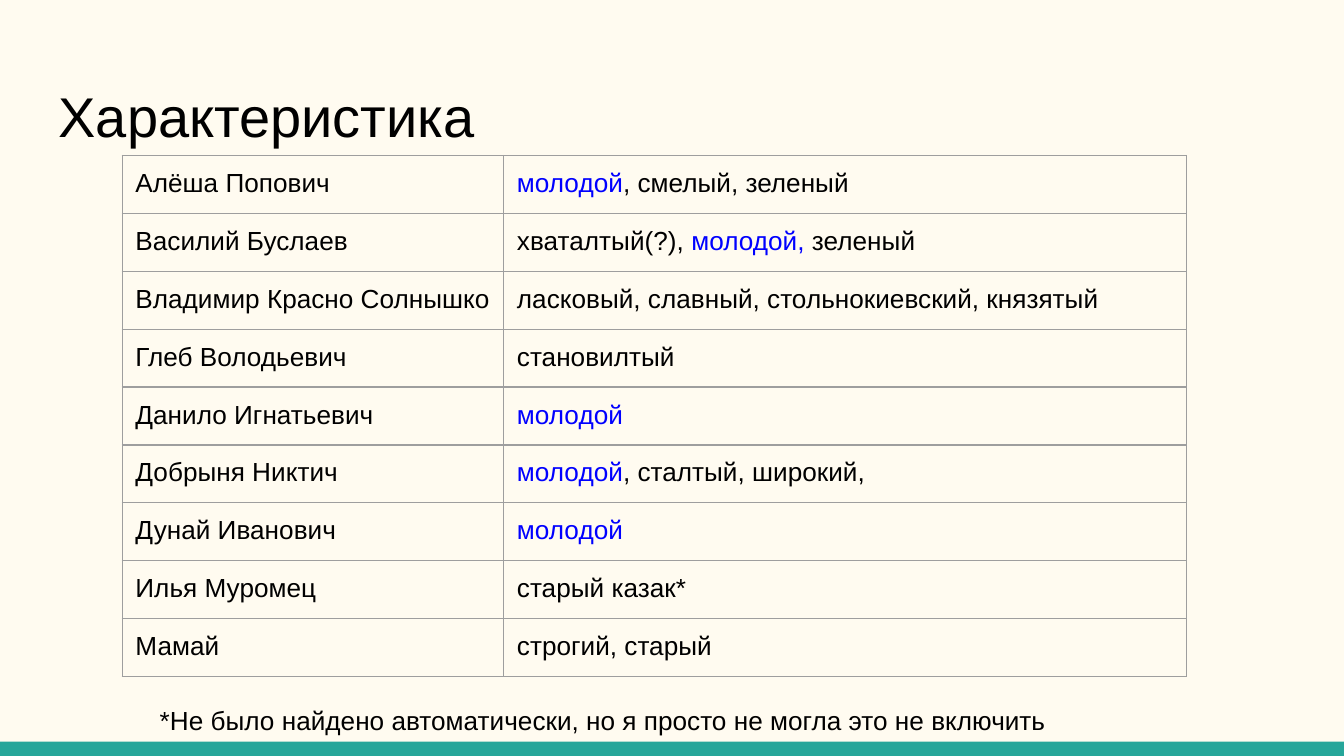
from lxml import etree
from pptx import Presentation
from pptx import util as u
from pptx.dml.color import RGBColor
from pptx.enum import shapes, text
from pptx.oxml import ns

COLORS = {
    "page": "FFFBF0",
    "ink": "000000",
    "shared": "0000FF",
    "grid": "9E9E9E",
    "footer": "26A69A",
}

HEROES = [
    ("Алёша Попович", "|молодой|, смелый, зеленый"),
    ("Василий Буслаев", "хваталтый(?), |молодой,| зеленый"),
    ("Владимир Красно Солнышко", "ласковый, славный, стольнокиевский, князятый"),
    ("Глеб Володьевич", "становилтый"),
    ("Данило Игнатьевич", "|молодой|"),
    ("Добрыня Никтич", "|молодой|, сталтый, широкий,"),
    ("Дунай Иванович", "|молодой|"),
    ("Илья Муромец", "старый казак*"),
    ("Мамай", "строгий, старый"),
]


class Deck:
    font = "Arial"
    inset = u.Cm(0.25)
    body_size = 14

    def __init__(self, width, height):
        self.prs = Presentation()
        self.prs.slide_width, self.prs.slide_height = u.Cm(width), u.Cm(height)
        self.slide = self.prs.slides.add_slide(self.prs.slide_layouts[6])
        self.paint(self.slide.background.fill, "page")

    def paint(self, fill, color):
        fill.solid()
        fill.fore_color.rgb = RGBColor.from_string(COLORS[color])

    def typeset(self, paragraph, words, size):
        paragraph.font.name = self.font
        paragraph.font.size = u.Pt(size)
        for position, part in enumerate(words.split("|")):
            if part:
                run = paragraph.add_run()
                run.text = part
                color = "shared" if position % 2 else "ink"
                run.font.color.rgb = RGBColor.from_string(COLORS[color])

    def pad(self, holder):
        holder.margin_left = holder.margin_right = self.inset
        holder.margin_top = holder.margin_bottom = self.inset

    def bar(self, left, top, width, height, color):
        bar = self.slide.shapes.add_shape(
            shapes.MSO_SHAPE.RECTANGLE, *map(u.Cm, (left, top, width, height)))
        bar.shadow.inherit = False
        bar.line.fill.background()
        self.paint(bar.fill, color)

    def label(self, left, top, width, height, words, size,
              anchor=text.MSO_ANCHOR.TOP, spacing=1.0):
        frame = self.slide.shapes.add_textbox(
            *map(u.Cm, (left, top, width, height))).text_frame
        frame.word_wrap = True
        frame.vertical_anchor = anchor
        self.pad(frame)
        frame.paragraphs[0].line_spacing = spacing
        self.typeset(frame.paragraphs[0], words, size)

    def border(self, cell):
        properties = cell._tc.get_or_add_tcPr()
        for position, side in enumerate(("lnL", "lnR", "lnT", "lnB")):
            line = etree.Element(ns.qn(f"a:{side}"), w=str(u.Pt(0.75)))
            fill = etree.SubElement(line, ns.qn("a:solidFill"))
            etree.SubElement(fill, ns.qn("a:srgbClr"), val=COLORS["grid"])
            properties.insert(position, line)

    def table(self, left, top, widths, row_height, rows):
        size = (sum(widths), row_height * len(rows))
        grid = self.slide.shapes.add_table(
            len(rows), len(widths), *map(u.Cm, (left, top, *size))).table
        grid.first_row = grid.horz_banding = False
        for column, width in zip(grid.columns, widths):
            column.width = u.Cm(width)
        for line, entries in zip(grid.rows, rows):
            line.height = u.Cm(row_height)
            for cell, words in zip(line.cells, entries):
                self.pad(cell)
                cell.fill.background()
                self.border(cell)
                self.typeset(cell.text_frame.paragraphs[0], words, self.body_size)


def main():
    deck = Deck(25.4, 14.29)
    deck.bar(0, 14.02, 25.4, 0.27, "footer")
    deck.label(0.86, 1.24, 23.67, 1.7, "Характеристика", 30,
               text.MSO_ANCHOR.MIDDLE, 1.15)
    deck.table(2.31, 2.94, (7.21, 12.9), 1.06, HEROES)
    deck.label(2.77, 13.06, 20.37, 2.39,
               "*Не было найдено автоматически, но я просто не могла это не включить",
               deck.body_size)
    deck.prs.save("out.pptx")


if __name__ == "__main__":
    main()
